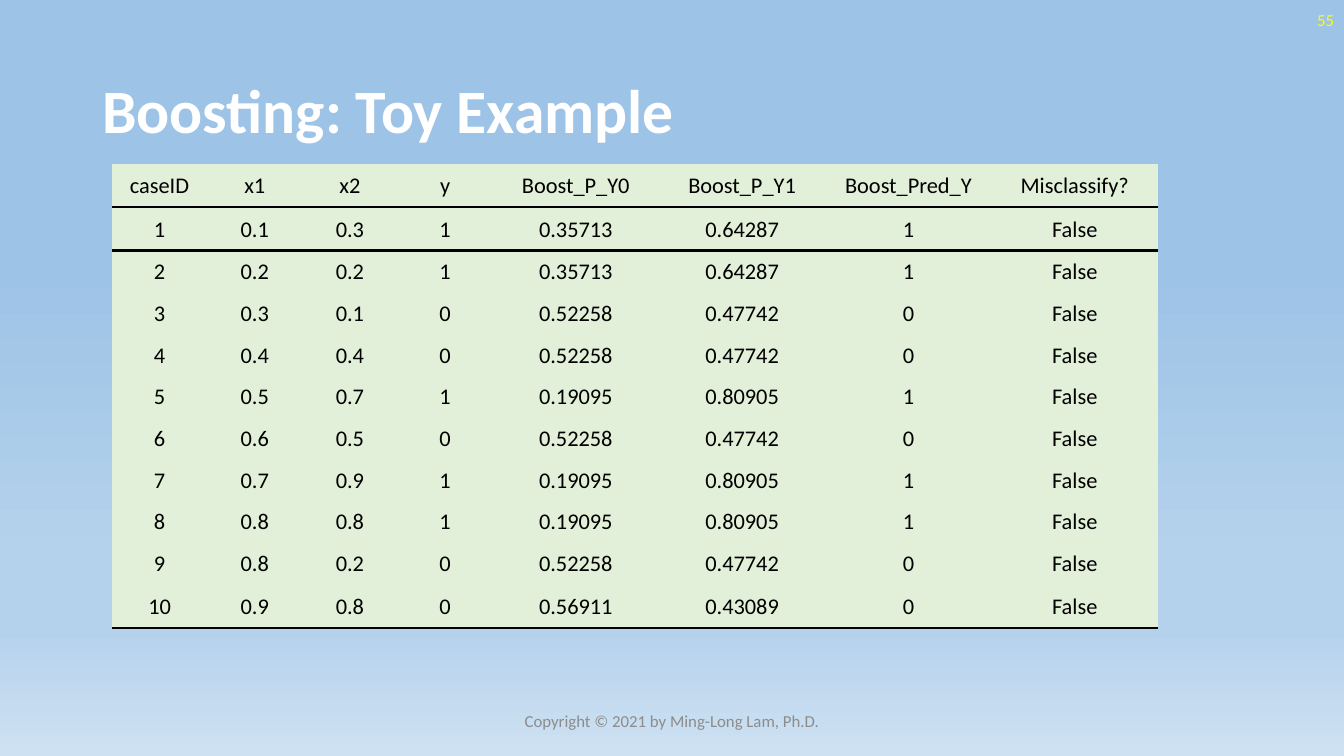
from lxml.etree import SubElement
from pptx import Presentation
from pptx.dml.color import RGBColor
from pptx.enum.text import MSO_ANCHOR as Anchor, PP_ALIGN as Align
from pptx.oxml.ns import qn
from pptx.oxml.xmlchemy import OxmlElement
from pptx.util import Inches, Pt

WHITE = RGBColor(0xFF, 0xFF, 0xFF)
BLACK = RGBColor(0x00, 0x00, 0x00)
YELLOW = RGBColor(0xFF, 0xFF, 0x00)
GREY = RGBColor(0x8C, 0x8C, 0x8C)
PALE_GREEN = RGBColor(0xE2, 0xF0, 0xD9)
SKY = RGBColor(0x9D, 0xC3, 0xE6)
LIGHT_SKY = RGBColor(0xB5, 0xD2, 0xEC)
HAZE = RGBColor(0xCE, 0xE1, 0xF2)

COLUMNS, ROWS = 160, 90
FONT = "Calibri"
NO_STYLE = "{2D5ABB26-0587-4C30-8999-92F81FD0307C}"
SKY_STOPS = [(35, SKY), (74, LIGHT_SKY), (83, LIGHT_SKY), (100, HAZE)]
COLUMN_WIDTHS = [11.33] * 4 + [19.8] * 4
ROW_HEIGHTS = [5.17] * 2 + [4.97] * 8 + [5.17]
CASES = [
    ("caseID", "x1", "x2", "y", "Boost_P_Y0", "Boost_P_Y1", "Boost_Pred_Y", "Misclassify?"),
    ("1", "0.1", "0.3", "1", "0.35713", "0.64287", "1", "False"),
    ("2", "0.2", "0.2", "1", "0.35713", "0.64287", "1", "False"),
    ("3", "0.3", "0.1", "0", "0.52258", "0.47742", "0", "False"),
    ("4", "0.4", "0.4", "0", "0.52258", "0.47742", "0", "False"),
    ("5", "0.5", "0.7", "1", "0.19095", "0.80905", "1", "False"),
    ("6", "0.6", "0.5", "0", "0.52258", "0.47742", "0", "False"),
    ("7", "0.7", "0.9", "1", "0.19095", "0.80905", "1", "False"),
    ("8", "0.8", "0.8", "1", "0.19095", "0.80905", "1", "False"),
    ("9", "0.8", "0.2", "0", "0.52258", "0.47742", "0", "False"),
    ("10", "0.9", "0.8", "0", "0.56911", "0.43089", "0", "False"),
]


def grid(count):
    """Turn a count of square grid cells into a length."""
    return Inches(count / 12)


def write(frame, text, size=16, color=BLACK, bold=False, align=Align.CENTER, spacing=1.0):
    """Put one formatted paragraph into a text frame."""
    para = frame.paragraphs[0]
    para.alignment = align
    para.line_spacing = spacing
    span = para.add_run()
    span.text = text
    span.font.name = FONT
    span.font.size = Pt(size)
    span.font.bold = bold
    span.font.color.rgb = color


def add_text(page, text, left, top, width, height, **style):
    """Add a wrapped, vertically centred text box on the grid."""
    box = page.shapes.add_textbox(*map(grid, (left, top, width, height)))
    box.text_frame.word_wrap = True
    box.text_frame.vertical_anchor = Anchor.MIDDLE
    write(box.text_frame, text, **style)


def paint_background(page, stops):
    """Fill the page from top to bottom with the given colour stops."""
    fill = page.background.fill
    fill.gradient()
    fill.gradient_angle = 270
    stop_list = next(page.background._cSld.iter(qn("a:gsLst")))
    stop_list[:] = []
    for percent, color in stops:
        stop = SubElement(stop_list, qn("a:gs"), pos=str(percent * 1000))
        SubElement(stop, qn("a:srgbClr"), val=str(color))


def draw_rule(cell, side):
    """Draw a black two-point border on one side of a cell."""
    line = OxmlElement(f"a:{side}")
    line.set("w", str(Pt(2)))
    fill = SubElement(line, qn("a:solidFill"))
    SubElement(fill, qn("a:srgbClr"), val=str(BLACK))
    cell._tc.get_or_add_tcPr().insert(0, line)


def format_cell(cell, text):
    """Fill a cell and centre its text."""
    cell.fill.solid()
    cell.fill.fore_color.rgb = PALE_GREEN
    cell.vertical_anchor = Anchor.MIDDLE
    cell.margin_left = cell.margin_right = cell.margin_top = Inches(0.01)
    cell.margin_bottom = 0
    write(cell.text_frame, text)


def add_case_table(page, left, top):
    """Add the table of cases with rules under the header and last row."""
    frame = page.shapes.add_table(
        len(CASES), len(COLUMN_WIDTHS), grid(left), grid(top),
        grid(sum(COLUMN_WIDTHS)), grid(sum(ROW_HEIGHTS)))
    table = frame.table
    table.first_row = table.horz_banding = False
    next(table._tbl.iter(qn("a:tableStyleId"))).text = NO_STYLE
    for column, width in zip(table.columns, COLUMN_WIDTHS):
        column.width = grid(width)
    rules = {0: "lnB", 1: "lnT", len(CASES) - 1: "lnB"}
    for index, (row, height, case) in enumerate(zip(table.rows, ROW_HEIGHTS, CASES)):
        row.height = grid(height)
        for cell, text in zip(row.cells, case):
            format_cell(cell, text)
            if index in rules:
                draw_rule(cell, rules[index])


def main():
    """Build and save the slide."""
    deck = Presentation()
    deck.slide_width, deck.slide_height = grid(COLUMNS), grid(ROWS)
    page = deck.slides.add_slide(deck.slide_layouts[6])
    paint_background(page, SKY_STOPS)
    add_text(page, "Boosting: Toy Example", 11, 4.8, 138, 17.4,
             size=44, color=WHITE, bold=True, align=Align.LEFT, spacing=0.9)
    add_text(page, "55", 124, 0, 36, 4.8, size=12, color=YELLOW, align=Align.RIGHT)
    add_case_table(page, 13.33, 19.5)
    add_text(page, "Copyright © 2021 by Ming-Long Lam, Ph.D.", 53, 83.4, 54, 4.8,
             size=12, color=GREY)
    deck.save("out.pptx")


if __name__ == "__main__":
    main()
